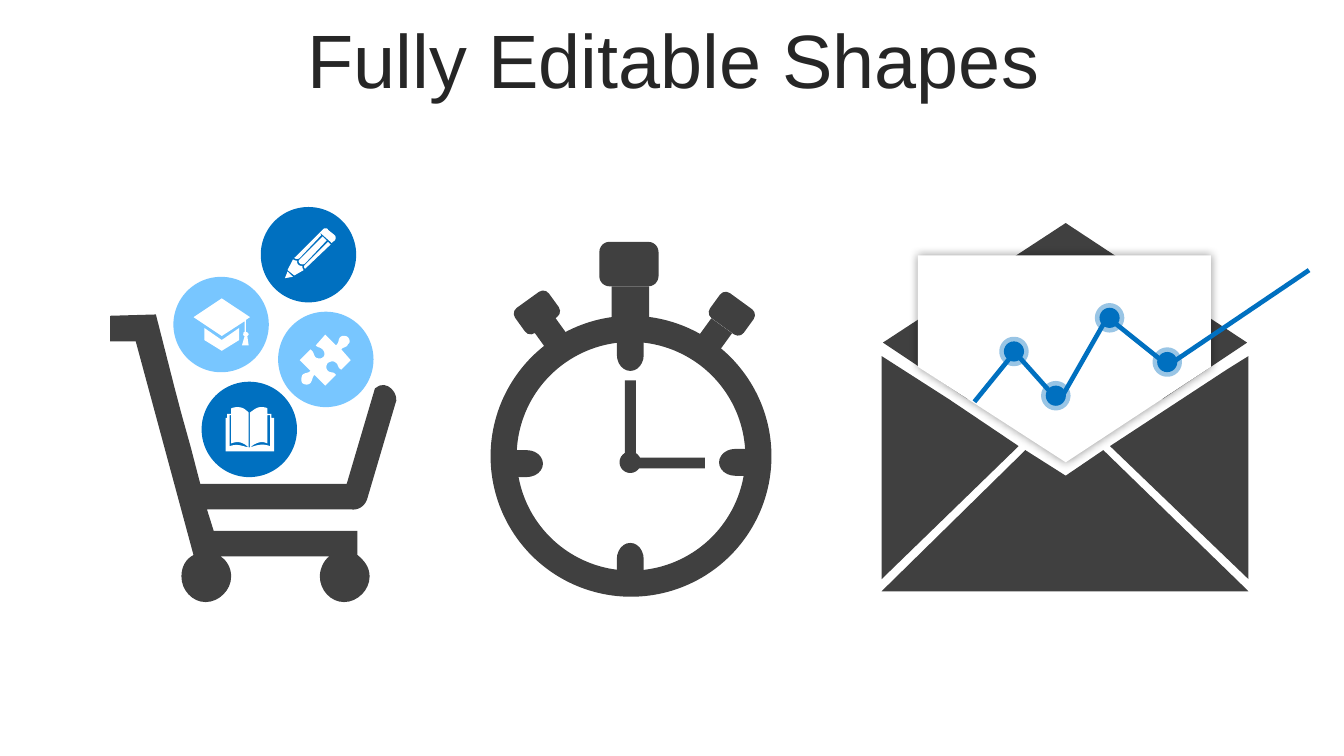
from lxml.etree import SubElement
from pptx import Presentation
from pptx.dml.color import RGBColor
from pptx.enum.shapes import MSO_SHAPE as Preset
from pptx.enum.text import MSO_ANCHOR, MSO_AUTO_SIZE, PP_ALIGN
from pptx.oxml.ns import qn
from pptx.util import Pt

DARK = RGBColor(0x40, 0x40, 0x40)
TITLE_GRAY = RGBColor(0x26, 0x26, 0x26)
BLUE = RGBColor(0x00, 0x70, 0xC0)
LIGHT_BLUE = RGBColor(0x40, 0xAF, 0xFF)
WHITE = RGBColor(0xFF, 0xFF, 0xFF)
CURVE_STEPS = 8

# Outlines in hundredths of an inch: M move, L line, C cubic curve, Z close
CART = """M 116 234 L 130 289 L 135 308 L 142 333 L 149 360 L 188 360 L 258 360
L 279 289 C 288 281 298 294 294 301 L 273 372 C 271 377 266 380 261 379
L 154 379 L 159 395 L 266 395 L 266 413 C 271 417 275 422 275 429
C 275 439 266 448 256 448 C 246 448 238 439 238 429 C 238 423 241 417 245 414
L 164 414 C 169 417 172 423 172 429 C 172 439 163 448 153 448
C 143 448 135 439 135 429 C 135 422 138 416 144 413 L 101 254 L 82 254 L 82 235 Z"""
BOOK = """M 185 333 C 185 333 186 333 186 333 C 192 331 195 330 201 332 L 201 309
L 199 309 C 199 316 199 323 199 330 C 195 328 191 329 186 333 L 186 309 L 186 307
C 189 305 191 303 194 303 C 196 303 198 303 199 304 C 199 305 199 306 199 308
L 202 308 L 202 311 L 204 311 L 204 336 L 168 336 L 168 311 L 169 311 L 169 308
L 172 308 C 172 306 172 305 172 304 C 174 303 176 303 177 303
C 181 303 183 305 185 307 L 185 309 L 185 333 C 181 329 177 328 172 330
L 172 309 L 171 309 L 171 332 C 177 330 180 332 185 333 Z"""
PUZZLE = """M 259 251 C 260 252 261 255 259 256 C 258 259 255 258 254 260
L 261 268 L 254 275 C 251 274 252 271 250 270 C 248 268 246 269 244 270
C 243 271 242 274 244 276 C 247 278 248 276 250 279 L 242 287 L 234 279
C 232 281 233 282 231 285 C 229 287 226 286 225 285 C 224 284 224 281 225 279
C 227 277 229 278 231 276 L 223 268 L 231 260 C 234 262 233 264 235 266
C 237 267 239 267 240 266 C 242 265 242 262 240 260 C 238 258 237 259 235 257
L 242 249 L 250 257 C 253 254 251 254 253 251 C 255 249 258 250 259 251 Z"""
CAP = """M 152 244 L 165 253 L 178 244 L 178 253 L 165 261 L 152 253 Z
M 165 222 L 186 236 L 183 238 L 183 247 C 184 247 185 248 185 249
C 185 249 184 250 184 250 L 185 257 L 180 257 L 182 250 C 181 250 181 249 181 249
C 181 248 181 247 182 247 L 182 239 L 165 250 L 144 236 Z"""
PENCIL = """M 214 202 L 218 206 L 212 207 Z
M 218 193 C 219 194 221 194 221 194 C 221 195 221 196 222 197
C 223 198 225 198 225 198 C 225 199 225 200 226 201 L 219 205 L 214 201 Z
M 244 180 L 246 182 L 227 200 C 226 199 226 198 227 197 Z
M 240 176 L 243 179 L 227 196 C 226 197 224 197 223 196 C 222 195 222 194 223 193 Z
M 238 173 L 239 175 L 223 192 C 222 193 220 193 219 192 Z
M 242 170 C 243 170 244 170 244 171 L 249 175 C 250 176 250 178 249 179
C 248 180 247 180 247 181 L 238 173 L 240 171 C 241 170 241 170 242 170 Z"""
ENVELOPE = """M 763 335 L 793 354 L 821 335 L 929 440 L 656 440 Z
M 929 265 L 929 431 L 826 332 L 913 275 Z
M 656 265 L 706 297 L 758 332 L 656 431 Z
M 793 166 L 928 255 L 865 297 L 865 226 L 720 226 L 720 297 L 657 255 Z"""
LETTER = "M 683 190 L 901 190 L 901 273 L 793 344 L 683 273 Z"
TREND = "M 725 299 L 755 262 L 788 299 L 824 236 L 869 272 L 974 201"


def draw_outline(shapes, outline, color=None):
    """Draw an outline, sampling its curves; fill it if a color is given."""
    builder = None
    for part in outline.split("M")[1:]:
        tokens = part.replace("Z", "").replace("L", "|L").replace("C", "|C").split("|")
        points = [tuple(int(value) * 72 for value in tokens[0].split())]
        for token in tokens[1:]:
            values = [int(value) * 72 for value in token[1:].split()]
            if token[0] == "L":
                points.append(tuple(values))
                continue
            corners = [points[-1]] + list(zip(values[::2], values[1::2]))
            for step in range(1, CURVE_STEPS + 1):
                t = step / CURVE_STEPS
                weights = ((1 - t) ** 3, 3 * t * (1 - t) ** 2, 3 * t * t * (1 - t), t ** 3)
                points.append(tuple(sum(w * corner[axis] for w, corner in zip(weights, corners))
                                    for axis in (0, 1)))
        if builder is None:
            builder = shapes.build_freeform(*points[0], scale=Pt(1) / 100)
        else:
            builder.move_to(*points[0])
        builder.add_line_segments(points[1:], close="Z" in part)
    shape = builder.convert_to_shape()
    shape.shadow.inherit = False
    shape.line.fill.background()
    if color is None:
        shape.fill.background()
    else:
        shape.fill.solid()
        shape.fill.fore_color.rgb = color
    return shape


def add_preset(shapes, kind, box, color=DARK, rotation=0):
    shape = shapes.add_shape(kind, *(Pt(length) for length in box))
    shape.shadow.inherit = False
    shape.fill.solid()
    shape.fill.fore_color.rgb = color
    shape.line.fill.background()
    shape.rotation = rotation
    return shape


presentation = Presentation()
presentation.slide_width, presentation.slide_height = Pt(720), Pt(405)
slide = presentation.slides.add_slide(presentation.slide_layouts[5])

# Title
title = slide.shapes.title
title.left, title.top, title.width, title.height = Pt(19.4), Pt(7.2), Pt(683.3), Pt(42.5)
text_frame = title.text_frame
text_frame.text = "Fully Editable Shapes"
text_frame.auto_size = MSO_AUTO_SIZE.NONE
text_frame.vertical_anchor = MSO_ANCHOR.MIDDLE
text_frame.margin_top, text_frame.margin_bottom = Pt(6), Pt(0)
paragraph = text_frame.paragraphs[0]
paragraph.alignment = PP_ALIGN.CENTER
font = paragraph.runs[0].font
font.name, font.size = "Arial", Pt(40.5)
font.color.rgb = TITLE_GRAY

# Shopping cart with its four round icons
draw_outline(slide.shapes, CART, DARK)
for left, top, color in ((92.9, 148.3, LIGHT_BLUE), (149, 167, LIGHT_BLUE),
                         (108, 204.5, BLUE), (139.7, 110.9, BLUE)):
    circle = add_preset(slide.shapes, Preset.OVAL, (left, top, 51.1, 51.1), color)
    if color == LIGHT_BLUE:
        fill_color = next(circle.element.spPr.iter(qn("a:srgbClr")))
        SubElement(fill_color, qn("a:alpha"), val="70000")
for icon in (BOOK, PUZZLE, CAP, PENCIL):
    draw_outline(slide.shapes, icon, WHITE)

# Stopwatch: ring, buttons and hour marks
watch = slide.shapes.add_group_shape().shapes
ring = add_preset(watch, Preset.DONUT, (262.8, 169.2, 150.5, 150.5))
ring.adjustments[0] = 0.093
for stem, cap, rotation in (
        ((288, 172.8, 13.7, 10.8), (276.5, 159.1, 22.3, 16.6), 324.3),
        ((376.6, 173.5, 13.7, 10.8), (380.9, 159.8, 22.3, 16.6), 36),
        ((327.6, 153.4, 20.2, 23.8), (321.1, 129.6, 31.7, 23.8), 0)):
    add_preset(watch, Preset.RECTANGLE, stem, rotation=rotation)
    button = add_preset(watch, Preset.ROUNDED_RECTANGLE, cap, rotation=rotation)
    button.adjustments[0] = 0.227
for quarter, (left, top) in enumerate(((273.6, 241.2), (329, 182.9),
                                       (385.2, 240.5), (329, 292.3))):
    add_preset(watch, Preset.FLOWCHART_DELAY, (left, top, 17.3, 14.4), rotation=90 * quarter)

# Stopwatch hands and hub
hands = slide.shapes.add_group_shape().shapes
add_preset(hands, Preset.RECTANGLE, (334.8, 203.8, 5.8, 42.5))
add_preset(hands, Preset.RECTANGLE, (353.5, 226.8, 5.8, 42.5), rotation=90)
add_preset(hands, Preset.OVAL, (331.9, 241.9, 11.5, 11.5))

# Envelope and letter with a soft shadow
mail = slide.shapes.add_group_shape().shapes
draw_outline(mail, ENVELOPE, DARK)
letter = draw_outline(mail, LETTER, WHITE)
effects = letter.element.spPr.find(qn("a:effectLst"))
shadow = SubElement(effects, qn("a:outerShdw"), blurRad=str(Pt(5)), dist="0", dir="0",
                    algn="ctr", rotWithShape="0")
shadow_color = SubElement(shadow, qn("a:srgbClr"), val="000000")
SubElement(shadow_color, qn("a:alpha"), val="40000")

# Trend line and its points
trend = draw_outline(mail, TREND)
trend.line.color.rgb = BLUE
trend.line.width = Pt(2.5)
for left, top in ((589, 164.9), (619.9, 188.6), (560.2, 206.6), (537.8, 182.9)):
    dot = add_preset(mail, Preset.OVAL, (left, top, 10.8, 10.8), BLUE)
    dot.line.color.rgb = BLUE
    dot.line.width = Pt(5)
    line_color = next(dot.element.spPr.find(qn("a:ln")).iter(qn("a:srgbClr")))
    SubElement(line_color, qn("a:alpha"), val="40000")

presentation.save("out.pptx")
